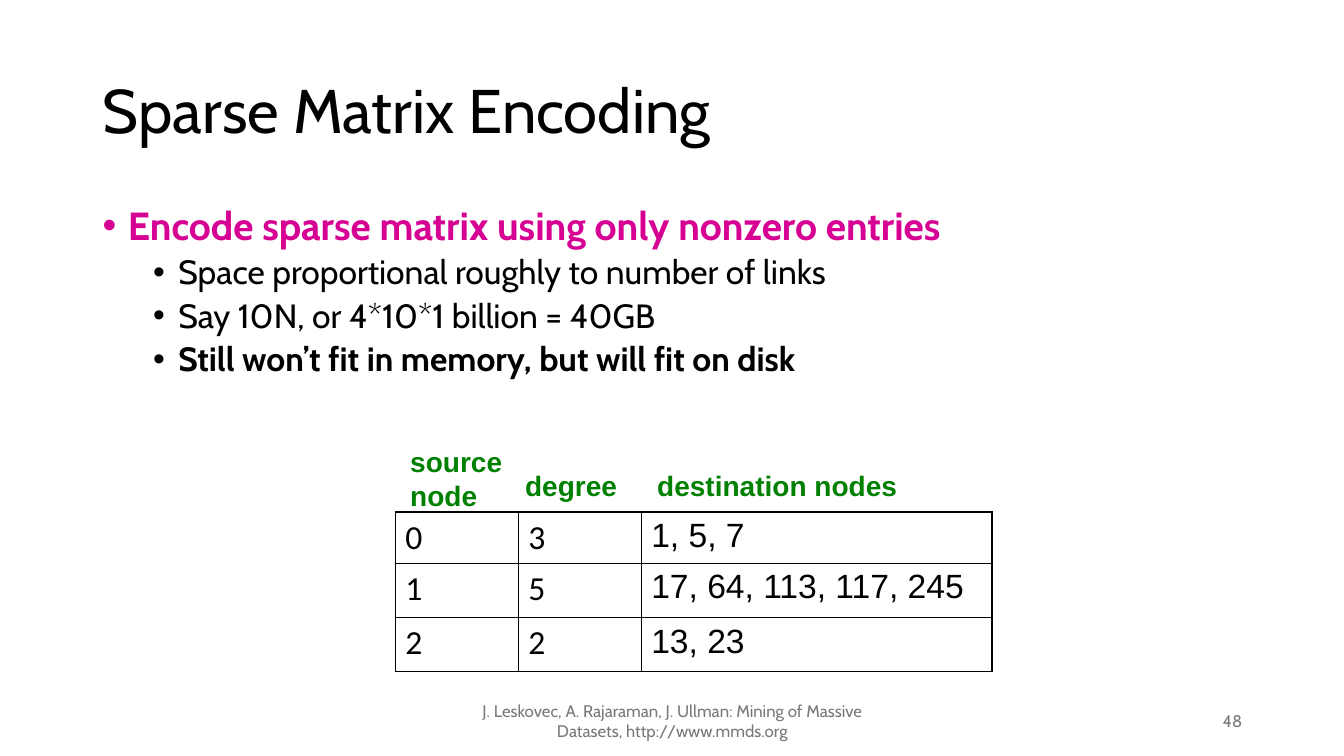
from lxml.etree import SubElement, fromstring
from pptx import Presentation
from pptx.dml.color import RGBColor
from pptx.enum.text import MSO_ANCHOR as Anchor, PP_ALIGN as Align
from pptx.oxml.ns import nsdecls, qn
from pptx.util import Pt

EMU_PER_PX = 9144
COLORS = {
    "text": "000000",
    "accent": "D60093",
    "label": "008000",
    "muted": "797979",
}


def px(length):
    return length * EMU_PER_PX


class SlideBuilder:
    """Holds the style and the current slide, and adds each kind of element."""

    heading_font = "Cabin"
    number_font = "Calibri"
    label_font = "Arial"

    def __init__(self, presentation):
        self.slide = presentation.slides.add_slide(presentation.slide_layouts[5])

    def run(self, paragraph, text, size, font, color="text", bold=False):
        run = paragraph.add_run()
        run.text = text
        run.font.size = Pt(size)
        run.font.name = font
        run.font.bold = bold
        run.font.color.rgb = RGBColor.from_string(COLORS[color])

    def title(self, text, left, top, width, height):
        shape = self.slide.shapes.title
        shape.left, shape.top = px(left), px(top)
        shape.width, shape.height = px(width), px(height)
        frame = shape.text_frame
        frame.vertical_anchor = Anchor.MIDDLE
        paragraph = frame.paragraphs[0]
        paragraph.alignment = Align.LEFT
        paragraph.line_spacing = 0.9
        self.run(paragraph, text, 44, self.heading_font)

    def paragraphs(self, frame, count):
        for _ in range(count - 1):
            frame.add_paragraph()
        return frame.paragraphs

    def bullets(self, items, left, top, width, height):
        frame = self.slide.shapes.add_textbox(px(left), px(top), px(width), px(height)).text_frame
        frame.word_wrap = True
        for index, (paragraph, item) in enumerate(zip(self.paragraphs(frame, len(items)), items)):
            text, level, color, bold = item
            paragraph.level = level
            paragraph.line_spacing = 0.9
            if index:
                paragraph.space_before = Pt(5)
            properties = paragraph._p.get_or_add_pPr()
            properties.set("marL", str(px(25 + 50 * level)))
            properties.set("indent", str(px(-25)))
            SubElement(properties, qn("a:buFont"), typeface="Arial")
            SubElement(properties, qn("a:buChar"), char="•")
            self.run(paragraph, text, 28 - 4 * level, self.heading_font, color, bold)

    def label(self, lines, left, top, width, height):
        frame = self.slide.shapes.add_textbox(px(left), px(top), px(width), px(height)).text_frame
        frame.word_wrap = False
        for paragraph, line in zip(self.paragraphs(frame, len(lines)), lines):
            self.run(paragraph, line, 20, self.label_font, "label", True)

    def footer(self, text, left, width, alignment):
        frame = self.slide.shapes.add_textbox(px(left), px(695), px(width), px(40)).text_frame
        frame.word_wrap = True
        frame.vertical_anchor = Anchor.MIDDLE
        paragraph = frame.paragraphs[0]
        paragraph.alignment = alignment
        self.run(paragraph, text, 12, self.heading_font, "muted")

    def border(self, cell):
        properties = cell._tc.get_or_add_tcPr()
        for index, side in enumerate(("lnL", "lnR", "lnT", "lnB")):
            line = fromstring(
                f'<a:{side} {nsdecls("a")} w="{Pt(1)}"><a:solidFill>'
                f'<a:srgbClr val="{COLORS["text"]}"/></a:solidFill></a:{side}>'
            )
            properties.insert(index, line)

    def table(self, rows, left, top, widths, heights):
        frame = self.slide.shapes.add_table(
            len(rows), len(widths), px(left), px(top), px(sum(widths)), px(sum(heights))
        )
        table = frame.table
        table.first_row = table.horz_banding = False
        for column, width in zip(table.columns, widths):
            column.width = px(width)
        fonts = (self.number_font, self.number_font, self.label_font)
        for row, height, values in zip(table.rows, heights, rows):
            row.height = px(height)
            for cell, value, font in zip(row.cells, values, fonts):
                cell.fill.background()
                self.border(cell)
                self.run(cell.text_frame.paragraphs[0], value, 24, font)


def main():
    presentation = Presentation()
    presentation.slide_width, presentation.slide_height = px(1333), px(750)
    builder = SlideBuilder(presentation)

    builder.title("Sparse Matrix Encoding", 92, 40, 1150, 145)
    builder.bullets(
        [
            ("Encode sparse matrix using only nonzero entries", 0, "accent", True),
            ("Space proportional roughly to number of links", 1, "text", False),
            ("Say 10N, or 4*10*1 billion = 40GB", 1, "text", False),
            ("Still won’t fit in memory, but will fit on disk", 1, "text", True),
        ],
        92, 200, 1150, 476,
    )
    builder.footer(
        "J. Leskovec, A. Rajaraman, J. Ullman: Mining of Massive Datasets, http://www.mmds.org",
        442, 450, Align.CENTER,
    )
    builder.footer("48", 942, 300, Align.RIGHT)
    builder.table(
        [
            ("0", "3", "1, 5, 7"),
            ("1", "5", "17, 64, 113, 117, 245"),
            ("2", "2", "13, 23"),
        ],
        392, 508, (122, 122, 348), (51, 54, 53),
    )
    builder.label(("source", "node"), 397, 436, 112, 77)
    builder.label(("degree",), 511, 460, 112, 44)
    builder.label(("destination nodes",), 642, 460, 260, 44)

    presentation.save("out.pptx")


if __name__ == "__main__":
    main()
